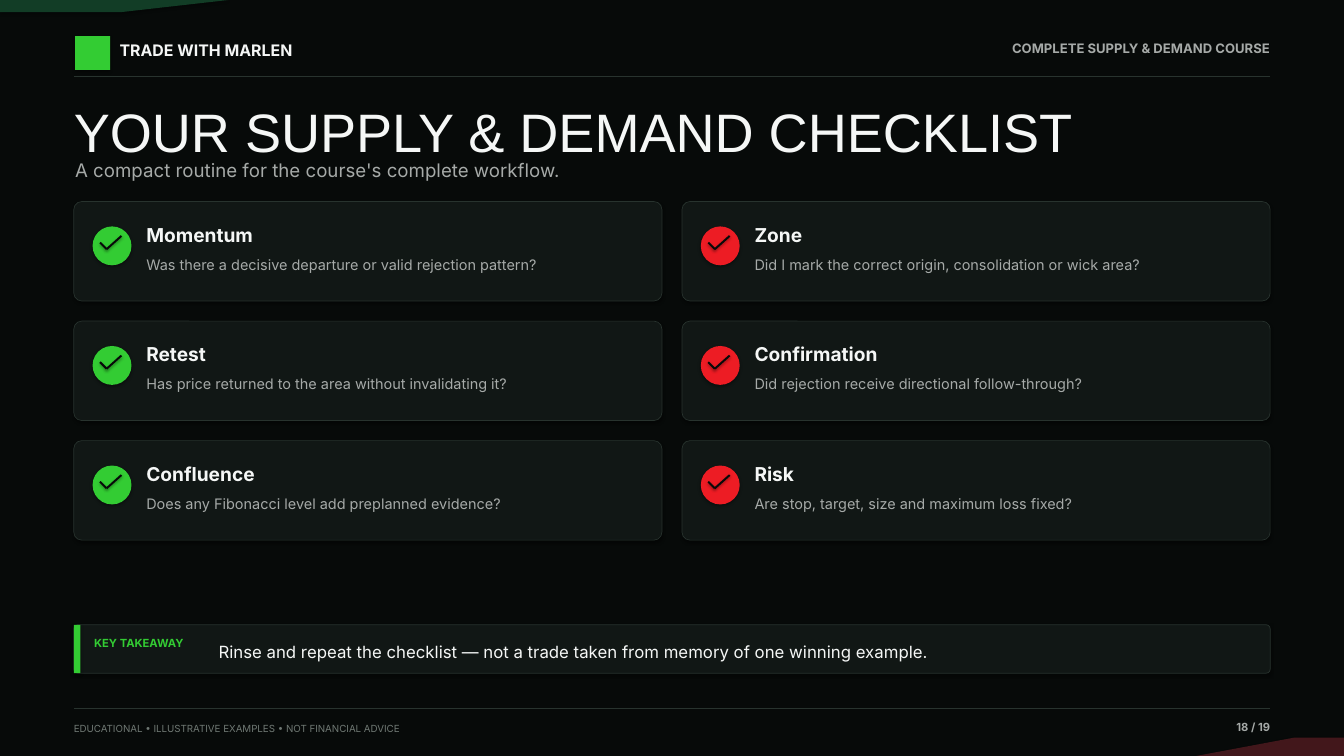
from lxml.etree import SubElement
from pptx import Presentation
from pptx.dml.color import RGBColor
from pptx.enum.shapes import MSO_CONNECTOR, MSO_SHAPE
from pptx.enum.text import MSO_ANCHOR, PP_ALIGN
from pptx.oxml.ns import qn
from pptx.util import Cm, Pt

WIDE, HIGH = 50.8, 28.58
LEFT, RIGHT = 2.79, 48.01
SPAN = RIGHT - LEFT
INK, PANEL, EDGE = "070A09", "111715", "28332E"
WHITE, GREY, DIM = "F5F7F6", "A6AAA8", "6F7873"
GREEN, RED = "33CC33", "ED1C24"

CARDS = [
    ("Momentum", "Was there a decisive departure or valid rejection pattern?"),
    ("Zone", "Did I mark the correct origin, consolidation or wick area?"),
    ("Retest", "Has price returned to the area without invalidating it?"),
    ("Confirmation", "Did rejection receive directional follow-through?"),
    ("Confluence", "Does any Fibonacci level add preplanned evidence?"),
    ("Risk", "Are stop, target, size and maximum loss fixed?"),
]


def paint(color):
    return RGBColor.from_string(color)


def add_shade(item, alpha=35, dist=1.8):
    """Give a shape or connector a soft shadow straight below it."""
    effects = SubElement(item._element.spPr, qn("a:effectLst"))
    shade = SubElement(effects, qn("a:outerShdw"), blurRad=str(Pt(3.1)),
                       dist=str(Pt(dist)), dir="5400000", algn="ctr",
                       rotWithShape="0")
    tint = SubElement(shade, qn("a:srgbClr"), val="000000")
    SubElement(tint, qn("a:alpha"), val=str(alpha * 1000))


def set_style(shape, fill, edge=None, weight=0.7):
    shape.fill.solid()
    shape.fill.fore_color.rgb = paint(fill)
    if edge:
        shape.line.color.rgb = paint(edge)
        shape.line.width = Pt(weight)
    else:
        shape.line.fill.background()
    add_shade(shape)


def add_block(slide, kind, x, y, w, h, fill, edge=None, weight=0.7):
    shape = slide.shapes.add_shape(kind, Cm(x), Cm(y), Cm(w), Cm(h))
    if kind == MSO_SHAPE.ROUNDED_RECTANGLE:
        shape.adjustments[0] = 0.08
    set_style(shape, fill, edge, weight)


def add_wedge(slide, points, fill):
    """Draw a closed outline through the points."""
    spots = [(Cm(x), Cm(y)) for x, y in points]
    pen = slide.shapes.build_freeform(*spots[0])
    pen.add_line_segments(spots[1:], close=True)
    set_style(pen.convert_to_shape(), fill)


def add_line(slide, start, end, color, weight):
    line = slide.shapes.add_connector(
        MSO_CONNECTOR.STRAIGHT, *[Cm(n) for n in (*start, *end)])
    line.line.color.rgb = paint(color)
    line.line.width = Pt(weight)
    add_shade(line, 38, 1.6)


def add_text(slide, x, y, w, h, text, size, color, bold=False, face="Inter",
             align=PP_ALIGN.LEFT, anchor=MSO_ANCHOR.TOP, space=1.18):
    box = slide.shapes.add_textbox(Cm(x), Cm(y), Cm(w), Cm(h))
    frame = box.text_frame
    frame.word_wrap = True
    frame.vertical_anchor = anchor
    frame.margin_left = frame.margin_right = 0
    frame.margin_top = frame.margin_bottom = 0
    para = frame.paragraphs[0]
    para.text = text
    para.alignment = align
    para.line_spacing = space
    font = para.font
    font.name, font.size, font.bold = face, Pt(size), bold
    font.color.rgb = paint(color)


def add_frame(slide):
    """Draw the backdrop, corner wedges, header and footer."""
    add_block(slide, MSO_SHAPE.RECTANGLE, 0, 0, WIDE, HIGH, INK)
    add_wedge(slide, [(0, 0), (8.64, 0), (4.57, 0.46), (0, 0.46)], "123D26")
    add_wedge(slide, [(WIDE, HIGH), (45.21, HIGH), (48.9, 27.89),
                      (WIDE, 27.89)], "42171B")
    add_block(slide, MSO_SHAPE.RECTANGLE, 2.84, 1.37, 1.32, 1.27, GREEN)
    add_text(slide, 4.52, 1.42, 9.91, 0.86, "TRADE WITH MARLEN", 17, WHITE,
             bold=True)
    add_text(slide, 35.56, 1.42, 12.45, 0.81,
             "COMPLETE SUPPLY & DEMAND COURSE", 14, GREY, bold=True,
             align=PP_ALIGN.RIGHT)
    for y in (2.87, 26.77):
        add_line(slide, (LEFT, y), (RIGHT, y), EDGE, 0.8)
    add_text(slide, LEFT, 27.23, 20.32, 0.64,
             "EDUCATIONAL • ILLUSTRATIVE EXAMPLES • NOT FINANCIAL ADVICE",
             10.5, DIM)
    add_text(slide, 43.69, 27.13, 4.32, 0.71, "18 / 19", 12, GREY, bold=True,
             align=PP_ALIGN.RIGHT)


def add_card(slide, x, y, color, head, body):
    add_block(slide, MSO_SHAPE.ROUNDED_RECTANGLE, x, y, 22.23, 3.76, PANEL,
              EDGE)
    add_block(slide, MSO_SHAPE.OVAL, x + 0.71, y + 0.94, 1.47, 1.47, color)
    base = (x + 1.24, y + 1.8)
    add_line(slide, (x + 0.99, y + 1.55), base, INK, 2.1)
    add_line(slide, base, (x + 1.8, y + 1.3), INK, 2.1)
    add_text(slide, x + 2.74, y + 0.66, 18.42, 0.97, head, 20.5, WHITE,
             bold=True)
    add_text(slide, x + 2.74, y + 1.93, 18.42, 1.14, body, 15.5, GREY)


def add_takeaway(slide):
    y, h = 23.62, 1.83
    add_block(slide, MSO_SHAPE.ROUNDED_RECTANGLE, LEFT, y, SPAN, h, PANEL,
              EDGE, 0.8)
    add_block(slide, MSO_SHAPE.RECTANGLE, LEFT, y, 0.25, h, GREEN)
    add_text(slide, 3.56, 23.95, 4.7, 0.66, "KEY TAKEAWAY", 12, GREEN,
             bold=True)
    add_text(slide, 8.26, 23.88, 39.07, 1.42,
             "Rinse and repeat the checklist — not a trade taken from memory "
             "of one winning example.", 18, WHITE, anchor=MSO_ANCHOR.MIDDLE)


def main():
    deck = Presentation()
    deck.slide_width, deck.slide_height = Cm(WIDE), Cm(HIGH)
    slide = deck.slides.add_slide(deck.slide_layouts[6])
    add_frame(slide)
    add_text(slide, LEFT, 3.71, SPAN, 2.24, "YOUR SUPPLY & DEMAND CHECKLIST",
             58, WHITE, face="Arial", space=1.0)
    add_text(slide, 2.84, 5.84, 43.69, 1.09,
             "A compact routine for the course's complete workflow.", 20, GREY)
    for i, (head, body) in enumerate(CARDS):
        row, col = divmod(i, 2)
        add_card(slide, LEFT + col * 22.99, 7.62 + row * 4.52,
                 (GREEN, RED)[col], head, body)
    add_takeaway(slide)
    deck.save("out.pptx")


if __name__ == "__main__":
    main()
